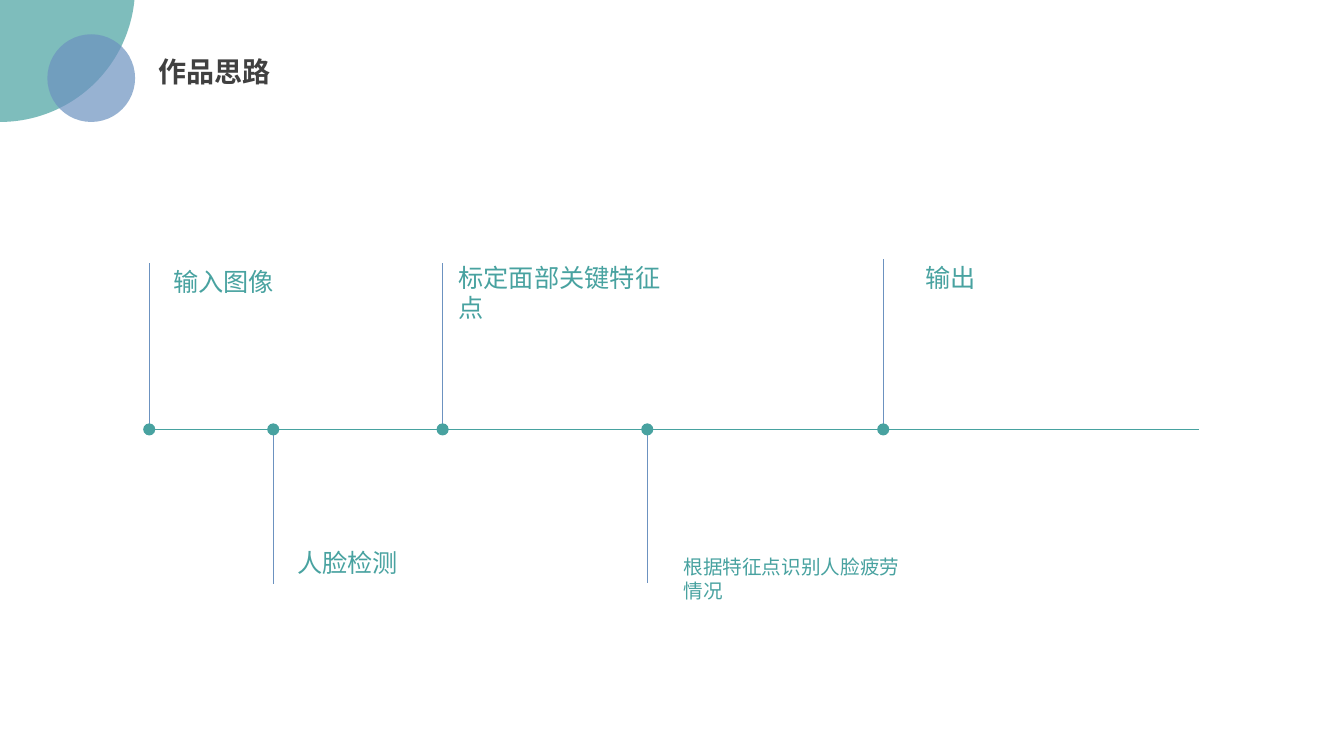
from lxml import etree
from pptx import Presentation
from pptx.dml.color import RGBColor
from pptx.enum.shapes import MSO_CONNECTOR as Connector, MSO_SHAPE as Preset
from pptx.enum.text import MSO_ANCHOR as Anchor, MSO_AUTO_SIZE as AutoSize, PP_ALIGN as Align
from pptx.oxml.ns import qn
from pptx.util import Inches, Pt

FONT = "Noto Sans CJK SC"
TEAL = "48A2A0"
BLUE = "6C92C0"
DARK = "404040"
DOT_SIZE = 0.12
LABEL_WIDTH = 2.4

STAGES = [
    {"text": "输入图像", "x": 0.01, "tip": 0.06, "gap": 0.14, "label_top": 0.04},
    {"text": "人脸检测", "x": 1.24, "tip": 3.24, "gap": 0.14, "label_top": 2.83},
    {"text": "标定面部关键特征点", "x": 2.92, "tip": 0.06, "gap": 0.06, "label_top": 0,
     "height": 0.71},
    {"text": "根据特征点识别人脸疲劳情况", "x": 4.95, "tip": 3.23, "gap": 0.26,
     "label_top": 2.91, "height": 0.57, "size": 14},
    {"text": "输出", "x": 7.29, "tip": 0.02, "gap": 0.32, "label_top": 0},
]


def color(value):
    return RGBColor.from_string(value)


def write_text(shape, text, size=18, fill=TEAL, bold=False, wrap=True):
    frame = shape.text_frame
    frame.word_wrap = wrap
    frame.auto_size = AutoSize.SHAPE_TO_FIT_TEXT
    frame.vertical_anchor = Anchor.TOP
    paragraph = frame.paragraphs[0]
    paragraph.alignment = Align.LEFT
    paragraph.line_spacing = Pt(round(size * 1.2, 1))
    run = paragraph.add_run()
    run.text = text
    run.font.size = Pt(size)
    run.font.bold = bold
    run.font.color.rgb = color(fill)
    run.font.name = FONT
    east_asian = etree.SubElement(run.font._element, qn("a:ea"))
    east_asian.set("typeface", FONT)


def add_circle(slide, left, top, size, fill, opacity=None):
    circle = slide.shapes.add_shape(
        Preset.OVAL, Inches(left), Inches(top), Inches(size), Inches(size))
    circle.shadow.inherit = False
    circle.line.fill.background()
    circle.fill.solid()
    circle.fill.fore_color.rgb = color(fill)
    if opacity is not None:
        tone = circle._element.spPr.find(qn("a:solidFill"))[0]
        etree.SubElement(tone, qn("a:alpha")).set("val", str(opacity * 1000))


def add_line(slide, start_x, start_y, end_x, end_y, fill):
    line = slide.shapes.add_connector(
        Connector.STRAIGHT, Inches(start_x), Inches(start_y), Inches(end_x), Inches(end_y))
    line.line.color.rgb = color(fill)
    line.line.width = Pt(1)
    etree.SubElement(line._element.spPr, qn("a:effectLst"))


def add_header(slide, left, top, width, height):
    add_circle(slide, left - 2.81, top - 1.96, 2.68, TEAL, opacity=70)
    add_circle(slide, left - 1, top - 0.15, 0.87, BLUE, opacity=70)
    title = slide.shapes.title
    title.left, title.top = Inches(left), Inches(top)
    title.width, title.height = Inches(width), Inches(height)
    write_text(title, "作品思路", size=20, fill=DARK, bold=True)


def add_stage(slide, left, top, axis, text, x, tip, gap, label_top, height=0.4, size=18):
    center = left + x
    add_line(slide, center, axis, center, top + tip, BLUE)
    add_circle(slide, center - DOT_SIZE / 2, axis - DOT_SIZE / 2, DOT_SIZE, TEAL)
    label = slide.shapes.add_textbox(
        Inches(center + gap), Inches(top + label_top), Inches(LABEL_WIDTH), Inches(height))
    write_text(label, text, size=size)


def add_timeline(slide, left, top, width):
    axis = top + 1.71
    add_line(slide, left, axis, left + width, axis, TEAL)
    for stage in STAGES:
        add_stage(slide, left, top, axis, **stage)


def main():
    presentation = Presentation()
    presentation.slide_width = Inches(13.33)
    presentation.slide_height = Inches(7.5)
    slide = presentation.slides.add_slide(presentation.slide_layouts[5])
    add_header(slide, 1.47, 0.49, 1.5, 0.44)
    add_timeline(slide, 1.47, 2.55, 10.42)
    presentation.save("out.pptx")


if __name__ == "__main__":
    main()
